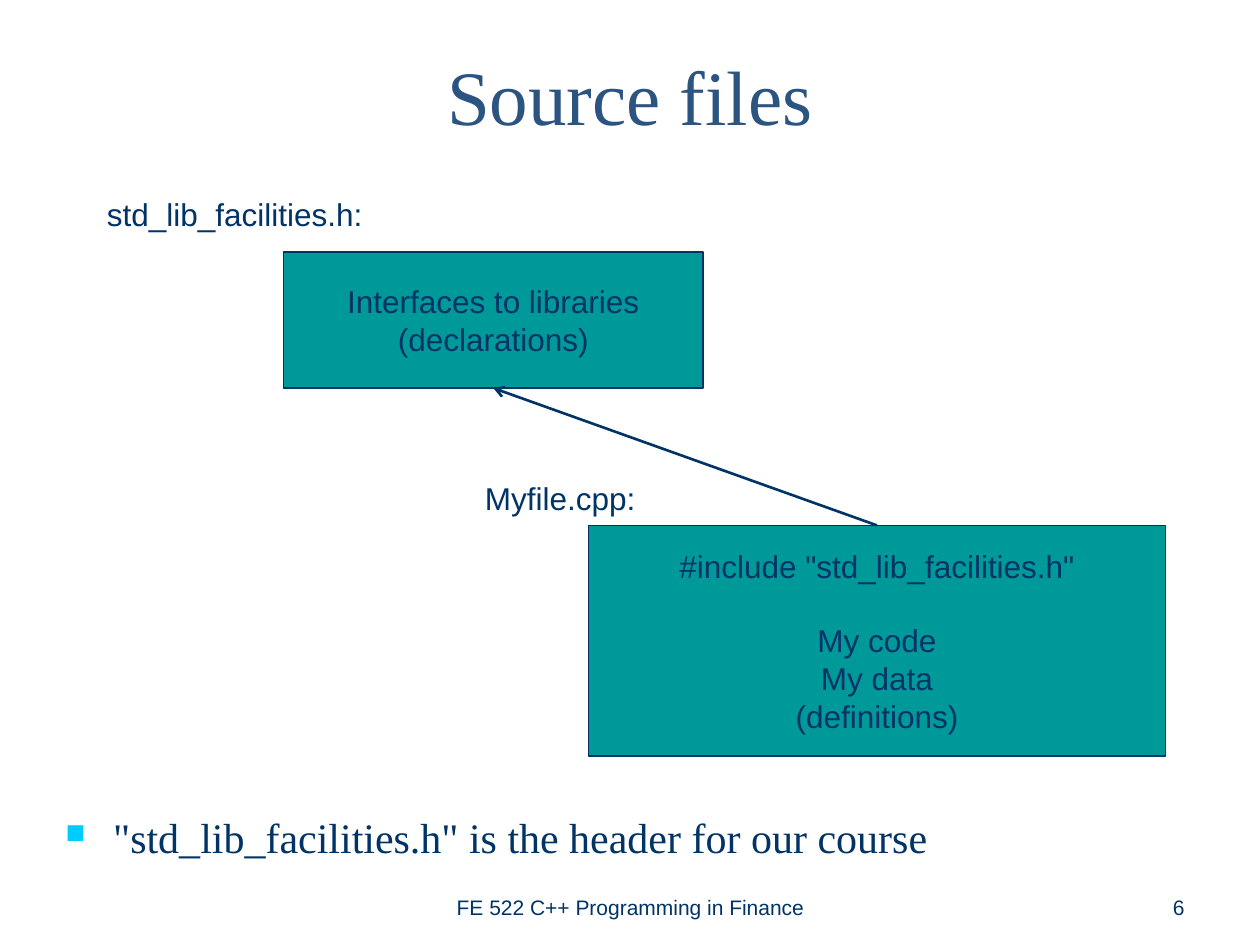
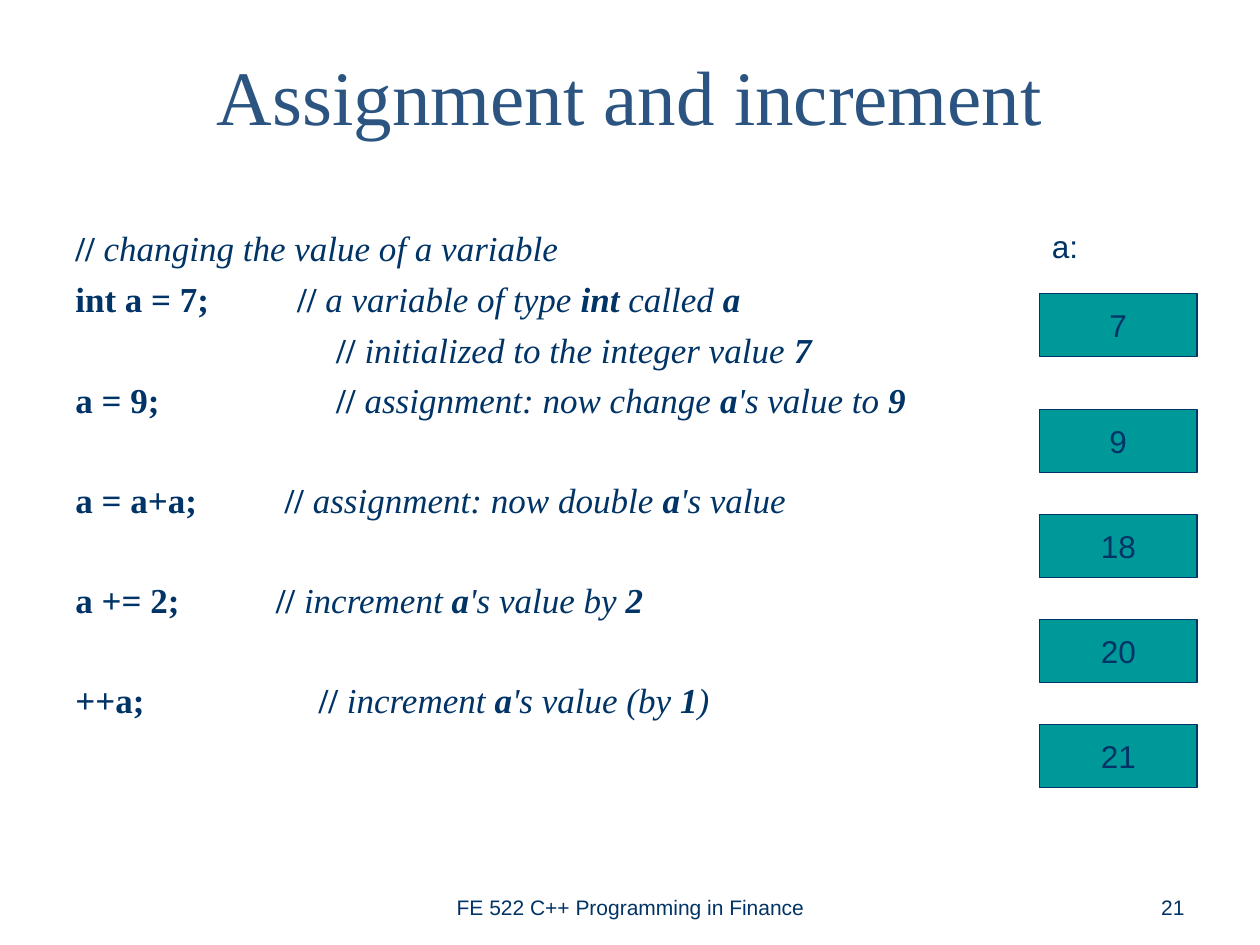
from pptx import Presentation
from pptx.dml.color import RGBColor
from pptx.enum.shapes import MSO_CONNECTOR, MSO_SHAPE
from pptx.enum.text import MSO_ANCHOR as Anchor, PP_ALIGN as Align
from pptx.oxml.ns import qn
from pptx.util import Inches, Pt
from lxml.etree import SubElement

NAVY = RGBColor(0x00, 0x33, 0x66)
TITLE_BLUE = RGBColor(0x2B, 0x54, 0x81)
TEAL = RGBColor(0x00, 0x99, 0x99)
BULLET_CYAN = RGBColor(0x00, 0xCC, 0xFF)
SERIF, SANS = "Times New Roman", "Arial"
COURSE = "FE 522 C++ Programming in Finance"


def style(paragraph, size, face=SANS, color=NAVY, align=Align.LEFT):
    paragraph.alignment = align
    paragraph.font.size = Pt(size)
    paragraph.font.name = face
    paragraph.font.color.rgb = color


def add_text(slide, box, text, size=18, face=SANS, color=NAVY,
             align=Align.LEFT, anchor=Anchor.TOP, wrap=True):
    frame = slide.shapes.add_textbox(*map(Inches, box)).text_frame
    frame.word_wrap = wrap
    frame.vertical_anchor = anchor
    frame.text = text
    style(frame.paragraphs[0], size, face, color, align)


def add_teal_box(slide, box, lines):
    """Draw a filled box with centred lines and return its paragraphs."""
    shape = slide.shapes.add_shape(MSO_SHAPE.RECTANGLE, *map(Inches, box))
    shape.shadow.inherit = False
    shape.fill.solid()
    shape.fill.fore_color.rgb = TEAL
    shape.line.color.rgb = NAVY
    shape.line.width = Pt(0.75)
    frame = shape.text_frame
    frame.word_wrap = False
    frame.vertical_anchor = Anchor.MIDDLE
    frame.text = "\n".join(lines)
    for paragraph in frame.paragraphs:
        style(paragraph, 18, align=Align.CENTER)
    return frame.paragraphs


def add_course_slide(deck, title, number):
    """Add a slide with the shared title, footer and slide number."""
    slide = deck.slides.add_slide(deck.slide_layouts[6])
    add_text(slide, (0.5, 0, 9, 1.5), title, 44, SERIF, TITLE_BLUE,
             Align.CENTER, Anchor.MIDDLE)
    add_text(slide, (3.42, 6.83, 3.17, 0.52), COURSE, 12,
             align=Align.CENTER, anchor=Anchor.BOTTOM)
    add_text(slide, (7.17, 6.83, 2.33, 0.52), str(number), 12,
             align=Align.RIGHT, anchor=Anchor.BOTTOM)
    return slide


def add_arrow(slide, start, end):
    arrow = slide.shapes.add_connector(
        MSO_CONNECTOR.STRAIGHT, *map(Inches, (*start, *end)))
    arrow.line.color.rgb = NAVY
    arrow.line.width = Pt(1.5)
    SubElement(arrow.line._get_or_add_ln(), qn("a:tailEnd"), type="arrow")
    SubElement(arrow._element.spPr, qn("a:effectLst"))


def add_bullet(slide, box, text):
    frame = slide.shapes.add_textbox(*map(Inches, box)).text_frame
    frame.word_wrap = True
    frame.text = text
    paragraph = frame.paragraphs[0]
    paragraph.line_spacing = 0.8
    props = paragraph._p.get_or_add_pPr()
    props.set("marL", str(Inches(0.38)))
    props.set("indent", str(Inches(-0.38)))
    color = SubElement(props, qn("a:buClr"))
    SubElement(color, qn("a:srgbClr"), val=str(BULLET_CYAN))
    SubElement(props, qn("a:buSzPct"), val="65000")
    SubElement(props, qn("a:buChar"), char="■")
    style(paragraph, 24, SERIF)


def add_include_diagram(slide, left, top):
    """Show a header box and the source file box that points to it."""
    header = (left + 1.5, top + 0.5, 3.33, 1.08)
    source = (left + 3.92, top + 2.67, 4.58, 1.83)
    add_teal_box(slide, header, ["Interfaces to libraries", "(declarations)"])
    source_lines = add_teal_box(slide, source, [
        '#include "std_lib_facilities.h"', "My code", "My data", "(definitions)"])
    source_lines[1].space_before = Pt(21)
    add_text(slide, (left + 3, top + 2.25, 1.58, 0.4), "Myfile.cpp:")
    add_text(slide, (left, top, 2.75, 0.4), "std_lib_facilities.h:")
    add_arrow(slide, (source[0] + source[2] / 2, source[1]),
              (header[0] + header[2] / 2, header[1] + header[3]))


def add_code(slide, box, rows):
    """Each row: code, comment with *names* in bold, comment indent, space before."""
    frame = slide.shapes.add_textbox(*map(Inches, box)).text_frame
    frame.word_wrap = True
    for index, (code, comment, indent, space) in enumerate(rows):
        paragraph = frame.add_paragraph() if index else frame.paragraphs[0]
        if indent:
            stops = SubElement(paragraph._p.get_or_add_pPr(), qn("a:tabLst"))
            SubElement(stops, qn("a:tab"), pos=str(Inches(indent)), algn="l")
        style(paragraph, 20, SERIF)
        if space:
            paragraph.space_before = Pt(space)
        lead = paragraph.add_run()
        lead.text = code + ("\t// " if indent else "// ")
        lead.font.bold = True
        for position, words in enumerate(comment.split("*")):
            if words:
                run = paragraph.add_run()
                run.text = words
                run.font.italic = True
                run.font.bold = position % 2 == 1


def add_value_column(slide, left, top, values):
    add_text(slide, (left, top, 0.41, 0.4), "a:", wrap=False)
    for index, value in enumerate(values):
        offset = 1.5 + (index - 1) * 5 / 6 if index else 0.58
        add_teal_box(slide, (left, top + offset, 1.25, 0.5), [str(value)])


def build_source_files(deck):
    slide = add_course_slide(deck, "Source files", 6)
    add_include_diagram(slide, 0.75, 1.5)
    add_bullet(slide, (0.42, 6.47, 9, 0.45),
               '"std_lib_facilities.h" is the header for our course')


def build_assignment(deck):
    slide = add_course_slide(deck, "Assignment and increment", 21)
    line_gap, block_gap = 5, 33
    add_code(slide, (0.5, 1.75, 7.25, 4.5), [
        ("", "changing the value of a variable", 0, 0),
        ("int a = 7;", "a variable of type *int* called *a*", 1.76, line_gap),
        ("", "initialized to the integer value *7*", 2.07, line_gap),
        ("a = 9;", "assignment: now change *a*'s value to *9*", 2.07, line_gap),
        ("a = a+a;", "assignment: now double *a*'s value", 1.66, block_gap),
        ("a += 2;", "increment *a*'s value by *2*", 1.59, block_gap),
        ("++a;", "increment *a*'s value (by *1*)", 1.93, block_gap),
    ])
    add_value_column(slide, 8.25, 1.75, [7, 9, 18, 20, 21])


def main():
    deck = Presentation()
    deck.slide_width, deck.slide_height = Inches(10), Inches(7.5)
    build_source_files(deck)
    build_assignment(deck)
    deck.save("out.pptx")


if __name__ == "__main__":
    main()
